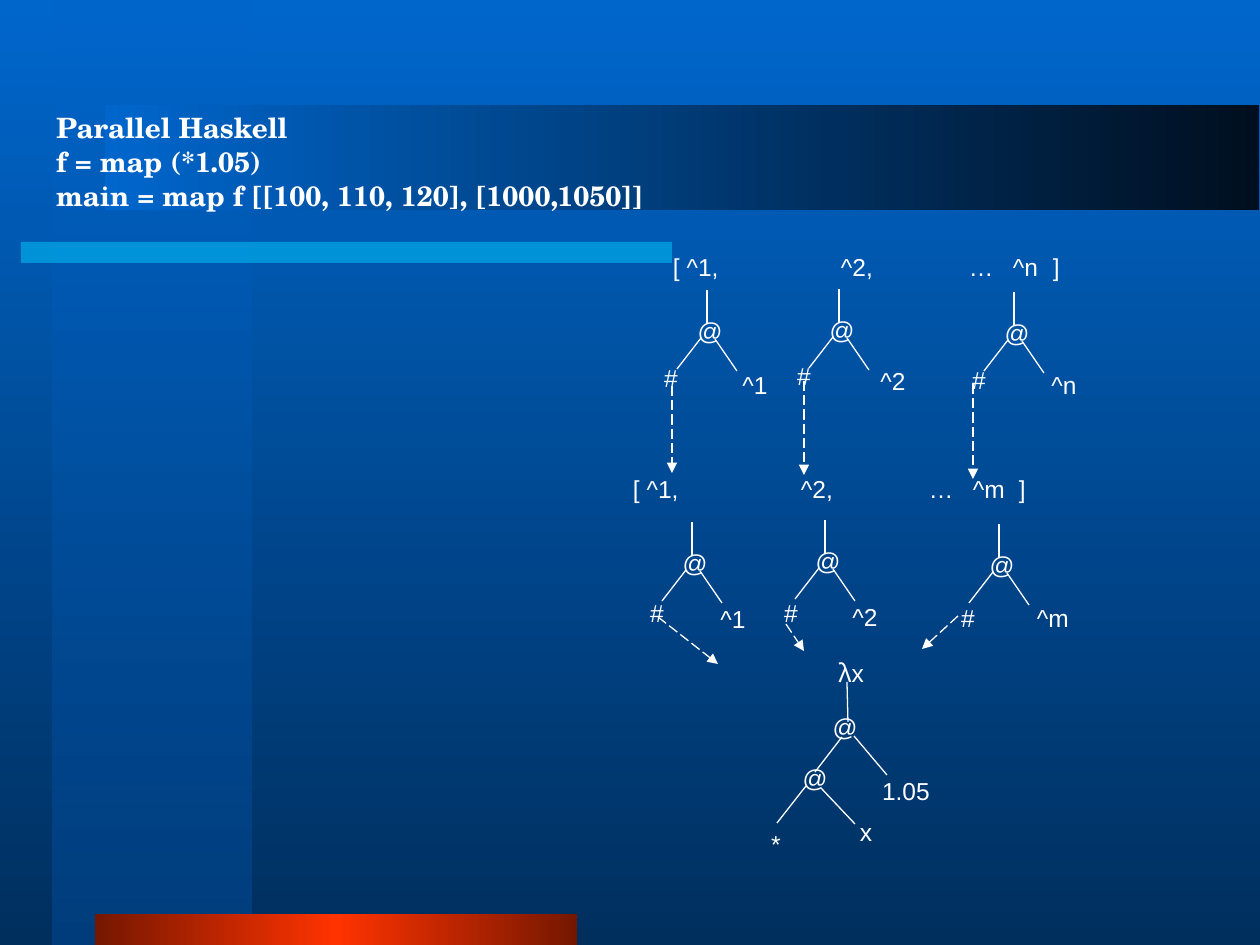
from copy import deepcopy
from dataclasses import dataclass

from lxml import etree
from pptx import Presentation
from pptx.dml.color import RGBColor
from pptx.enum.dml import MSO_LINE
from pptx.enum.shapes import MSO_CONNECTOR, MSO_SHAPE
from pptx.enum.text import MSO_ANCHOR, PP_ALIGN
from pptx.oxml.ns import qn
from pptx.util import Emu, Pt

RECT, STRAIGHT = MSO_SHAPE.RECTANGLE, MSO_CONNECTOR.STRAIGHT
DASH = MSO_LINE.LONG_DASH
MIDDLE, TOP = MSO_ANCHOR.MIDDLE, MSO_ANCHOR.TOP
LEFT, CENTER, JUSTIFY = PP_ALIGN.LEFT, PP_ALIGN.CENTER, PP_ALIGN.JUSTIFY
EMU_PER_PX = 914400 / 126


@dataclass(frozen=True)
class Theme:
    text: str = "FFFFFF"
    sky: str = "0066CC"
    deep: str = "002F5E"
    column: str = "003E7D"
    night: str = "000F1F"
    cyan: str = "00CCFF"
    ember: str = "751700"
    red: str = "FF3300"
    title_font: str = "TeX Gyre Schola"
    body_font: str = "Arial"
    greek_font: str = "Noto Sans CJK JP"
    title_size: int = 16
    body_size: int = 14
    line_width: float = 0.75


T = Theme()


def px(n):
    return Emu(round(n * EMU_PER_PX))


def rgb(code):
    return RGBColor.from_string(code)


# Fills
def set_alpha(sp, percent):
    color = next(sp.element.spPr.iter(qn("a:srgbClr")))
    etree.SubElement(color, qn("a:alpha")).set("val", str(percent * 1000))


def paint_gradient(fill, colors, angle):
    fill.gradient_angle = angle
    for i, (stop, color) in enumerate(zip(fill.gradient_stops, colors)):
        stop.color.rgb = rgb(color)
        stop.position = i / (len(colors) - 1)


def bar(s, x, y, w, h):
    sp = s.shapes.add_shape(RECT, px(x), px(y), px(w), px(h))
    sp.shadow.inherit = False
    sp.line.fill.background()
    return sp


def gradient_bar(s, x, y, w, h, colors, angle):
    sp = bar(s, x, y, w, h)
    sp.fill.gradient()
    stops = next(sp.element.spPr.iter(qn("a:gsLst")))
    while len(stops) < len(colors):
        stops.append(deepcopy(stops[0]))
    paint_gradient(sp.fill, colors, angle)
    return sp


# Text and lines
def style(r, font, size=T.body_size, bold=False):
    r.font.name = font
    r.font.size = Pt(size)
    r.font.bold = bold
    r.font.color.rgb = rgb(T.text)


def text_box(s, x, y, w, h, text, align, anchor, inset=(0, 0), wrap=True,
             font=T.body_font, size=T.body_size, bold=False):
    sp = s.shapes.add_textbox(px(x), px(y), px(w), px(h))
    tf = sp.text_frame
    tf.word_wrap = wrap
    tf.vertical_anchor = anchor
    tf.margin_left = tf.margin_right = px(inset[0])
    tf.margin_top = tf.margin_bottom = px(inset[1])
    tf.text = text
    for p in tf.paragraphs:
        p.alignment = align
        for r in p.runs:
            style(r, font, size, bold)
    return sp


def label(s, cx, cy, text, w=30, h=34):
    return text_box(s, cx - w / 2, cy - h / 2, w, h, text, CENTER, MIDDLE, wrap=False)


def line(s, x1, y1, x2, y2):
    c = s.shapes.add_connector(STRAIGHT, px(x1), px(y1), px(x2), px(y2))
    c.line.color.rgb = rgb(T.text)
    c.line.width = Pt(T.line_width)
    etree.SubElement(c.element.spPr, qn("a:effectLst"))
    return c


def dashed_arrow(s, x1, y1, x2, y2):
    c = line(s, x1, y1, x2, y2)
    c.line.dash_style = DASH
    ln = c.element.spPr.find(qn("a:ln"))
    etree.SubElement(ln, qn("a:tailEnd")).set("type", "triangle")


# Regions
def backdrop(s):
    s.background.fill.gradient()
    paint_gradient(s.background.fill, [T.sky, T.deep], 270)

    column = gradient_bar(s, 53, 0, 199, 945, [T.sky, T.column], 270)
    set_alpha(column, 50)

    accent = bar(s, 21, 242, 651, 21)
    accent.fill.solid()
    accent.fill.fore_color.rgb = rgb(T.cyan)
    set_alpha(accent, 50)

    gradient_bar(s, 95, 914, 482, 31, [T.ember, T.red, T.ember], 180)
    gradient_bar(s, 105, 105, 1154, 105, [T.night, T.sky], 180)


def title(s, x, y, w, h):
    text = "Parallel Haskell\nf = map (*1.05)\nmain = map f [[100, 110, 120], [1000,1050]]"
    text_box(s, x, y, w, h, text, JUSTIFY, TOP, (12, 6),
             font=T.title_font, size=T.title_size, bold=True)


def list_header(s, x, y, last, close_tab):
    sp = text_box(s, x, y, 476, 34, f"[ ^1,\t^2,\t…\t{last}\t]", LEFT, MIDDLE, (8, 4))
    pPr = next(sp.element.iter(qn("a:pPr")))
    tabs = etree.SubElement(pPr, qn("a:tabLst"))
    for pos in (168, 296, 340, close_tab):
        etree.SubElement(tabs, qn("a:tab"), pos=str(px(pos)), algn="l")


def apply_tree(s, x, y, func_at, arg, arg_at):
    """Application node hanging from a stem whose top is (x, y)."""
    line(s, x, y, x, y + 34)
    line(s, x - 6, y + 48, x - 30, y + 79)
    line(s, x + 8, y + 49, x + 30, y + 81)
    label(s, x + 3, y + 41, "@")
    label(s, x + func_at[0], y + func_at[1], "#")
    label(s, x + arg_at[0], y + arg_at[1], arg, 50, 40)


def lambda_tree(s, x, y):
    for x1, y1, x2, y2 in [(7, 22, 8, 62), (2, 77, -25, 112), (14, 76, 47, 115),
                           (-19, 128, 15, 164), (-34, 126, -63, 163)]:
        line(s, x + x1, y + y1, x + x2, y + y2)
    for dx, dy, text in [(5, 67, "@"), (-25, 118, "@"), (-64, 184, "*"), (26, 172, "x")]:
        label(s, x + dx, y + dy, text)
    label(s, x + 66, y + 131, "1.05", 88, 38)
    p = label(s, x + 11, y + 13, "λ", 50).text_frame.paragraphs[0]
    p.runs[0].font.name = T.greek_font
    r = p.add_run()
    r.text = "x"
    style(r, T.body_font)


def main():
    prs = Presentation()
    prs.slide_width, prs.slide_height = px(1260), px(945)
    s = prs.slides.add_slide(prs.slide_layouts[6])
    backdrop(s)
    title(s, 44, 105, 1062, 147)

    # Outer and inner lists, each with its application trees
    list_header(s, 665, 250, "^n", 380)
    list_header(s, 625, 472, "^m", 386)
    for x, y, func_at, arg, arg_at in [
        (707, 290, (-36, 88), "^1", (48, 95)),
        (839, 289, (-35, 87), "^2", (54, 92)),
        (1014, 292, (-35, 88), "^n", (50, 93)),
        (692, 522, (-35, 91), "^1", (41, 97)),
        (825, 520, (-34, 93), "^2", (40, 97)),
        (999, 524, (-31, 94), "^m", (54, 94)),
    ]:
        apply_tree(s, x, y, func_at, arg, arg_at)
    lambda_tree(s, 840, 660)

    # Function references to the next level
    for ends in [(672, 386, 672, 473), (804, 381, 804, 475), (973, 384, 973, 479),
                 (658, 617, 718, 664), (786, 624, 804, 651), (958, 616, 922, 649)]:
        dashed_arrow(s, *ends)
    prs.save("out.pptx")


if __name__ == "__main__":
    main()
